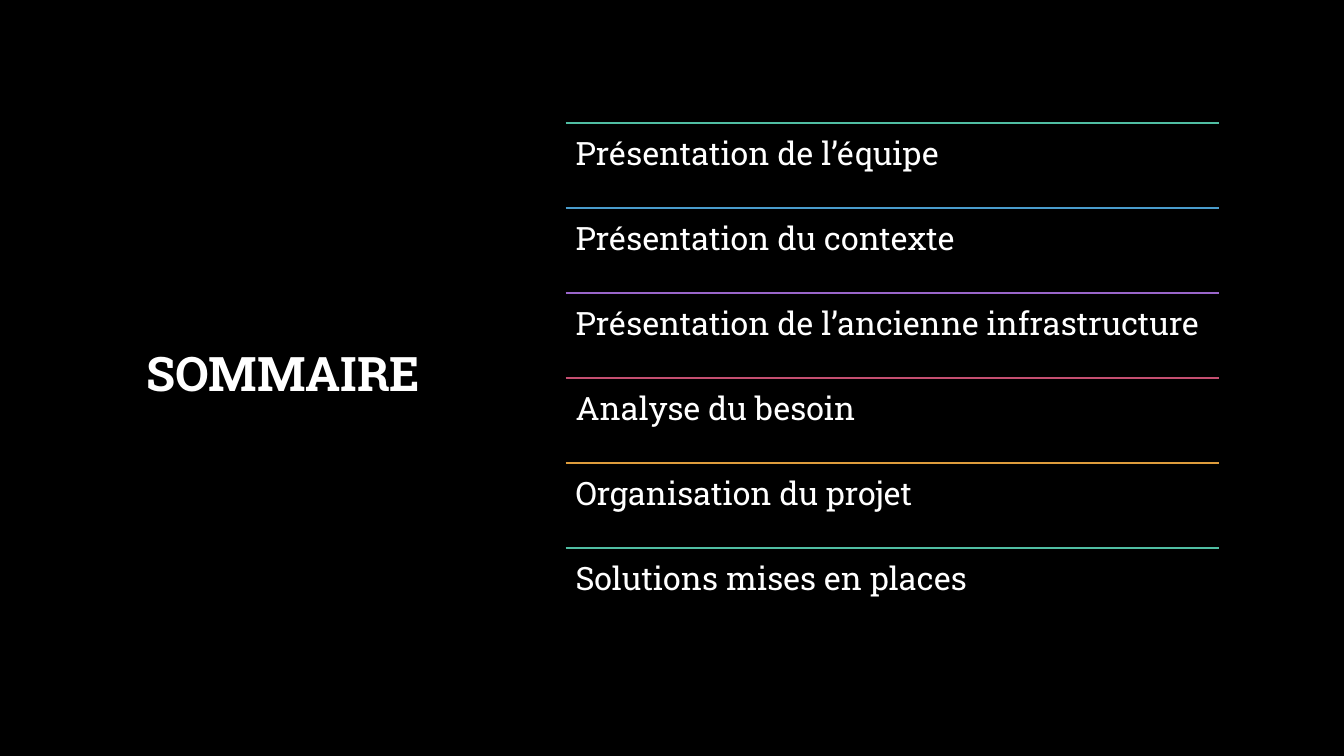
from lxml import etree
from pptx import Presentation
from pptx.dml.color import RGBColor
from pptx.enum.shapes import MSO_CONNECTOR
from pptx.enum.text import MSO_ANCHOR, PP_ALIGN
from pptx.oxml.ns import qn
from pptx.util import Inches, Pt

STRAIGHT = MSO_CONNECTOR.STRAIGHT
TOP, MIDDLE = MSO_ANCHOR.TOP, MSO_ANCHOR.MIDDLE
LEFT, CENTER = PP_ALIGN.LEFT, PP_ALIGN.CENTER

FONT = "Roboto Slab"
COLORS = {
    "background": "000000",
    "text": "FFFFFF",
    "green": "50BEA3",
    "blue": "4A9CCC",
    "purple": "9A66CA",
    "rose": "C54F71",
    "orange": "DE9C3C",
}
AGENDA = [
    ("Présentation de l’équipe", "green"),
    ("Présentation du contexte", "blue"),
    ("Présentation de l’ancienne infrastructure", "purple"),
    ("Analyse du besoin", "rose"),
    ("Organisation du projet", "orange"),
    ("Solutions mises en places", "green"),
]

# Agenda geometry, in inches
AGENDA_LEFT, AGENDA_WIDTH = 5.61, 6.48
FIRST_TOP, LAST_TOP = 1.22, 5.44
ROW_HEIGHT = (LAST_TOP - FIRST_TOP) / (len(AGENDA) - 1)


def rgb(name):
    return RGBColor.from_string(COLORS[name])


def add_text(slide, box, text, size, bold=False, align=LEFT, anchor=TOP,
             inset=0.1, line_spacing=1.0):
    frame = slide.shapes.add_textbox(*map(Inches, box)).text_frame
    frame.word_wrap = True
    frame.vertical_anchor = anchor
    frame.margin_left = frame.margin_right = Inches(0.1)
    frame.margin_top = frame.margin_bottom = Inches(inset)
    paragraph = frame.paragraphs[0]
    paragraph.alignment = align
    paragraph.line_spacing = line_spacing
    run = paragraph.add_run()
    run.text = text
    run.font.name = FONT
    run.font.size = Pt(size)
    run.font.bold = bold
    run.font.color.rgb = rgb("text")


def add_rule(slide, left, top, width, color):
    rule = slide.shapes.add_connector(
        STRAIGHT, Inches(left), Inches(top), Inches(left + width), Inches(top))
    rule.line.color.rgb = rgb(color)
    rule.line.width = Pt(1.5)
    properties = rule._element.find(qn("p:spPr"))
    etree.SubElement(properties, qn("a:effectLst"))


def main():
    deck = Presentation()
    deck.slide_width, deck.slide_height = Inches(13.33), Inches(7.5)
    slide = deck.slides.add_slide(deck.slide_layouts[6])
    slide.background.fill.solid()
    slide.background.fill.fore_color.rgb = rgb("background")

    # Title
    add_text(slide, (0.82, 0.67, 3.98, 6.13), "SOMMAIRE", 34, bold=True,
             align=CENTER, anchor=MIDDLE, inset=0.05, line_spacing=0.9)

    # Agenda: a coloured rule above each entry
    for row, (entry, color) in enumerate(AGENDA):
        top = FIRST_TOP + row * ROW_HEIGHT
        add_rule(slide, AGENDA_LEFT, top, AGENDA_WIDTH, color)
        add_text(slide, (AGENDA_LEFT, top, AGENDA_WIDTH, ROW_HEIGHT), entry, 23)

    deck.save("out.pptx")


if __name__ == "__main__":
    main()
